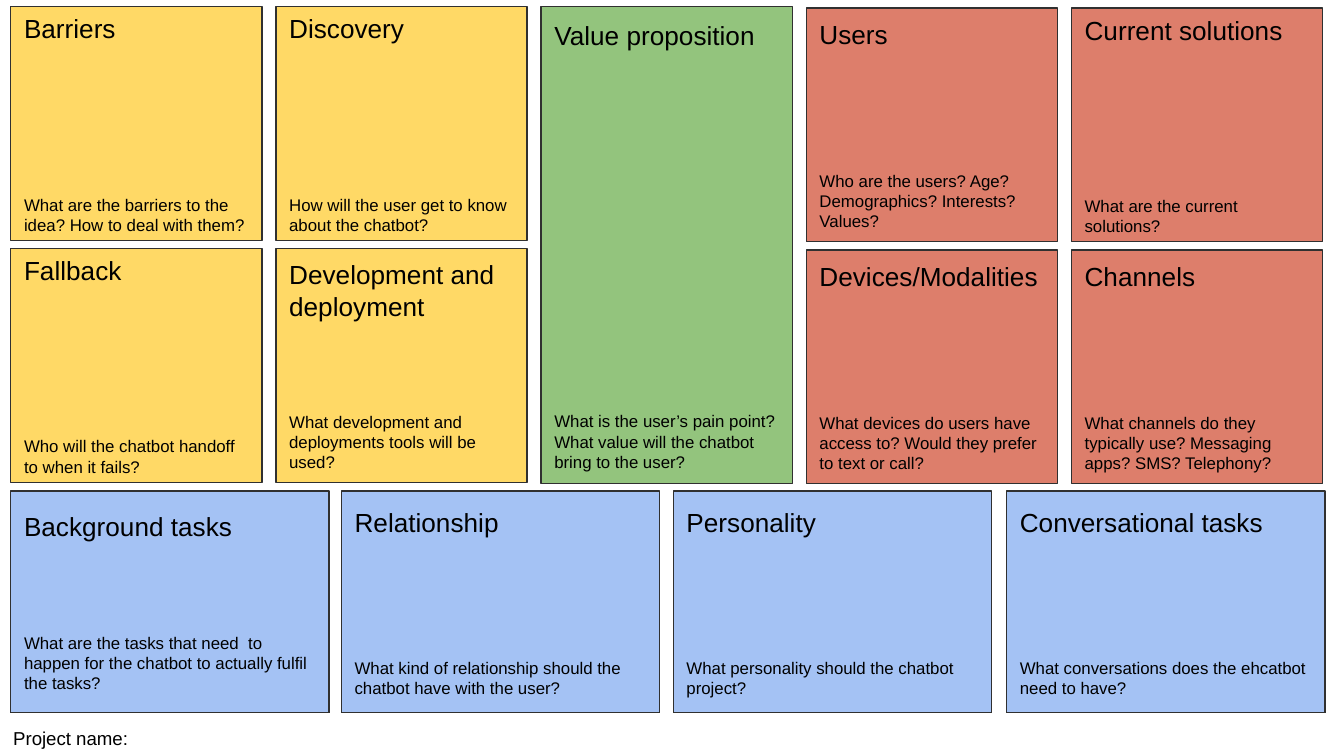
from pptx import Presentation
from pptx.dml.color import RGBColor
from pptx.enum.shapes import MSO_SHAPE
from pptx.enum.text import MSO_ANCHOR, PP_ALIGN
from pptx.util import Pt

RECT = MSO_SHAPE.RECTANGLE
MIDDLE, TOP = MSO_ANCHOR.MIDDLE, MSO_ANCHOR.TOP
LEFT = PP_ALIGN.LEFT

YELLOW = RGBColor(0xFF, 0xD9, 0x66)
GREEN = RGBColor(0x93, 0xC4, 0x7D)
RED = RGBColor(0xDD, 0x7E, 0x6B)
BLUE = RGBColor(0xA4, 0xC2, 0xF4)
BORDER = RGBColor(0x30, 0x30, 0x30)
BLACK = RGBColor(0, 0, 0)
WHITE = RGBColor(0xFF, 0xFF, 0xFF)

TITLE_LINE = 16.1
MARGIN = 5.8
COL_STEP, ROW_STEP = 142.05, 129.6
CARD_W, CARD_H = 134.6, 125.3
TASK_LEFTS = (5.8, 182.9, 360.7, 539.3)

UPPER_CARDS = [
    (0, 0, YELLOW, "Barriers", "What are the barriers to the idea? How to deal with them?", 5),
    (0, 1, YELLOW, "Fallback", "Who will the chatbot handoff to when it fails?", 5),
    (1, 0, YELLOW, "Discovery", "How will the user get to know about the chatbot?", 5),
    (1, 1, YELLOW, "Development and deployment",
     "What development and deployments tools will be used?", 3),
    (3, 0, RED, "Users", "Who are the users? Age? Demographics? Interests? Values?", 4),
    (3, 1, RED, "Devices/Modalities",
     "What devices do users have access to? Would they prefer to text or call?", 4),
    (4, 0, RED, "Current solutions", "What are the current solutions?", 5),
    (4, 1, RED, "Channels",
     "What channels do they typically use? Messaging apps? SMS? Telephony?", 4),
]
TASK_CARDS = [
    ("Background tasks",
     "What are the tasks that need  to happen for the chatbot to actually fulfil the tasks?", 3),
    ("Relationship", "What kind of relationship should the chatbot have with the user?", 4),
    ("Personality", "What personality should the chatbot project?", 4),
    ("Conversational tasks", "What conversations does the ehcatbot need to have?", 4),
]


def add_box(s, x, y, w, h, fill, line, anchor):
    sp = s.shapes.add_shape(RECT, Pt(x), Pt(y), Pt(w), Pt(h))
    sp.shadow.inherit = False
    if fill is None:
        sp.fill.background()
    else:
        sp.fill.solid()
        sp.fill.fore_color.rgb = fill
    sp.line.color.rgb = line
    sp.line.width = Pt(0.75)
    tf = sp.text_frame
    tf.word_wrap = True
    tf.vertical_anchor = anchor
    tf.margin_left = tf.margin_right = tf.margin_top = tf.margin_bottom = Pt(7.2)
    return tf


def set_text(p, text, size):
    p.text = text
    p.alignment = LEFT
    p.font.name = "Arial"
    p.font.size = Pt(size)
    p.font.color.rgb = BLACK


def add_card(s, x, y, w, h, fill, title, question, gap_lines):
    tf = add_box(s, x, y, w, h, fill, BORDER, MIDDLE)
    set_text(tf.paragraphs[0], title, 14)
    p = tf.add_paragraph()
    set_text(p, question, 9)
    p.space_before = Pt(round(gap_lines * TITLE_LINE, 1))


def add_upper_cards(s, x, y):
    add_card(s, x + 2 * COL_STEP, y, CARD_W, 255.6, GREEN, "Value proposition",
             "What is the user\u2019s pain point? What value will the chatbot bring to the user?", 12)
    for col, row, fill, title, question, gap_lines in UPPER_CARDS:
        top = y + row * ROW_STEP + (0.7 if fill == RED else 0)
        add_card(s, x + col * COL_STEP, top, CARD_W, CARD_H, fill, title, question, gap_lines)


def add_task_cards(s, y, w, h):
    for x, card in zip(TASK_LEFTS, TASK_CARDS):
        add_card(s, x, y, w, h, BLUE, *card)


def add_project_name(s, x, y, w, h):
    tf = add_box(s, x, y, w, h, None, WHITE, TOP)
    set_text(tf.paragraphs[0], "Project name: ", 10)


prs = Presentation()
prs.slide_width, prs.slide_height = Pt(720), Pt(405)
s = prs.slides.add_slide(prs.slide_layouts[6])
add_upper_cards(s, MARGIN, 3.6)
add_task_cards(s, 263, 170.6, 119)
add_project_name(s, 0, 382.3, 720, 24.5)
prs.save("out.pptx")
